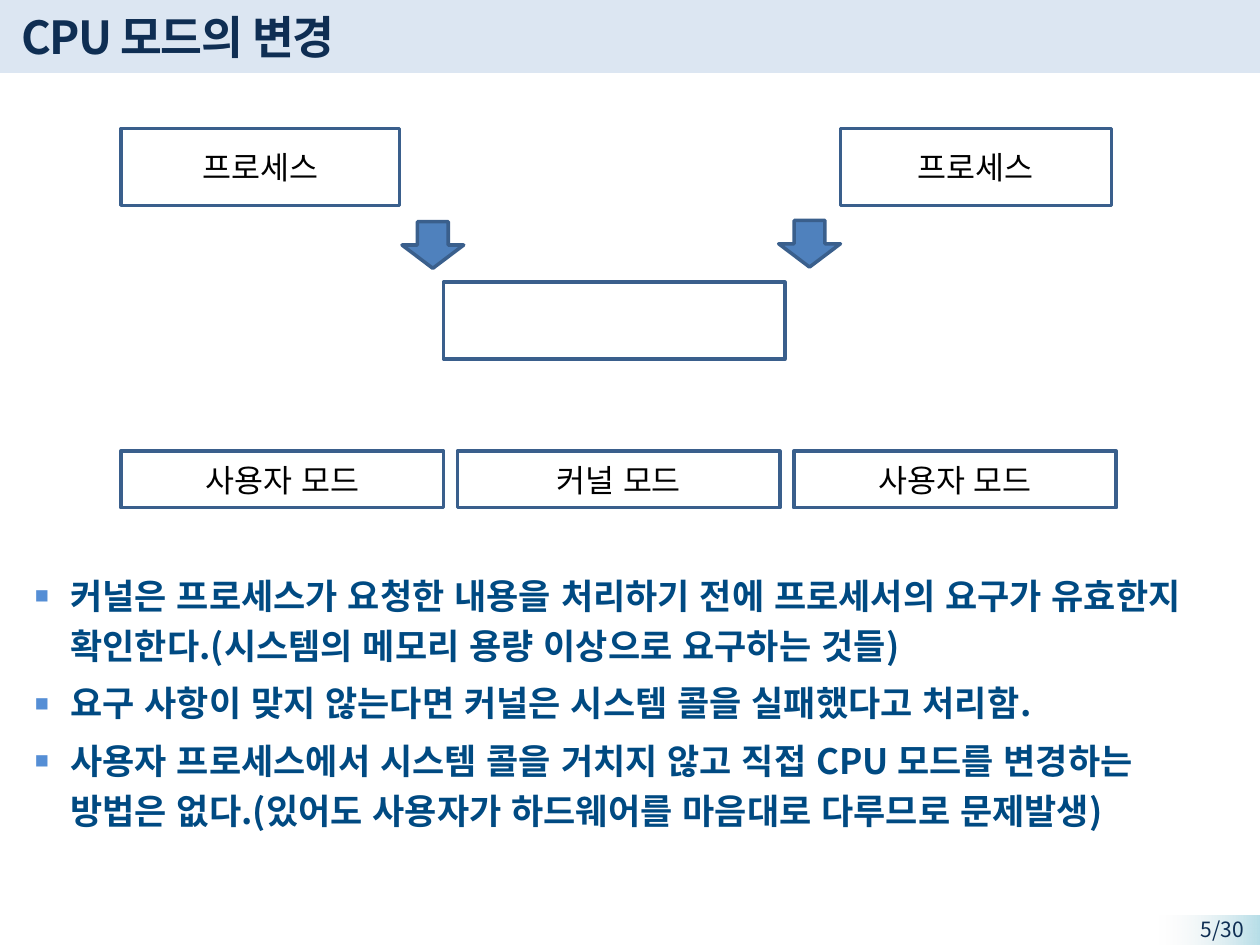
from lxml import etree
from pptx import Presentation
from pptx.dml.color import RGBColor
from pptx.enum.shapes import MSO_SHAPE
from pptx.enum.text import MSO_ANCHOR, PP_ALIGN
from pptx.oxml.ns import qn
from pptx.util import Inches, Pt

RECTANGLE, DOWN_ARROW = MSO_SHAPE.RECTANGLE, MSO_SHAPE.DOWN_ARROW
LEFT, CENTER, RIGHT = PP_ALIGN.LEFT, PP_ALIGN.CENTER, PP_ALIGN.RIGHT
TOP, MIDDLE = MSO_ANCHOR.TOP, MSO_ANCHOR.MIDDLE

FONT = "Noto Sans CJK KR"
BULLET_FONT = "Arial"
COLORS = {
    "band": "DCE6F2", "corner": "B7DEE8", "corner_fade": "F2F2F2",
    "title": "0F2E53", "body": "004A82", "bullet": "558ED5",
    "arrow": "4F81BD", "outline": "3A5F8C", "label": "000000",
}


def color(name):
    return RGBColor.from_string(COLORS[name])


class SlideBuilder:
    """Holds the slide and draws each kind of element in its style."""

    def __init__(self, slide):
        self.slide = slide

    def shape(self, kind, left, top, width, height, fill=None, outline=None):
        shape = self.slide.shapes.add_shape(
            kind, Inches(left), Inches(top), Inches(width), Inches(height))
        shape.shadow.inherit = False
        if fill:
            shape.fill.solid()
            shape.fill.fore_color.rgb = color(fill)
        else:
            shape.fill.background()
        if outline:
            shape.line.color.rgb = color(outline)
            shape.line.width = Pt(2)
        else:
            shape.line.fill.background()
        return shape

    def fading_band(self, left, top, width, height):
        shape = self.shape(RECTANGLE, left, top, width, height)
        shape.fill.gradient()
        shape.fill.gradient_angle = 180
        stops = shape.fill.gradient_stops
        for stop, name, position in zip(stops, ("corner", "corner_fade"), (0, 1)):
            stop.color.rgb = color(name)
            stop.position = position
        # The second stop is fully transparent
        last_color = shape._element.spPr.findall(".//" + qn("a:srgbClr"))[-1]
        etree.SubElement(last_color, qn("a:alpha"), val="0")

    def run(self, paragraph, text, size, color_name, bold=False, spacing=None):
        run = paragraph.add_run()
        run.text = text
        run.font.name = FONT
        run.font.size = Pt(size)
        run.font.bold = bold
        run.font.color.rgb = color(color_name)
        properties = run._r.get_or_add_rPr()
        properties.set("lang", "ko-KR")
        etree.SubElement(properties, qn("a:ea"), typeface=FONT)
        if spacing:
            properties.set("spc", str(int(spacing * 100)))

    def box(self, left, top, width, height, text=None):
        shape = self.shape(RECTANGLE, left, top, width, height, outline="outline")
        if text:
            shape.text_frame.vertical_anchor = MIDDLE
            paragraph = shape.text_frame.paragraphs[0]
            paragraph.alignment = CENTER
            self.run(paragraph, text, 18, "label")

    def arrow(self, left, top):
        self.shape(DOWN_ARROW, left, top, 0.49, 0.37, "arrow", "outline")

    def text_frame(self, left, top, width, height, anchor):
        frame = self.slide.shapes.add_textbox(
            Inches(left), Inches(top), Inches(width), Inches(height)).text_frame
        frame.word_wrap = True
        frame.vertical_anchor = anchor
        return frame

    def line_of_text(self, place, text, size, alignment=LEFT, anchor=MIDDLE, **style):
        paragraph = self.text_frame(*place, anchor).paragraphs[0]
        paragraph.alignment = alignment
        self.run(paragraph, text, size, "title", **style)

    def bullets(self, place, items):
        frame = self.text_frame(*place, TOP)
        for index, item in enumerate(items):
            paragraph = frame.add_paragraph() if index else frame.paragraphs[0]
            paragraph.line_spacing = 1.2
            paragraph.space_before = Pt(4)
            properties = paragraph._p.get_or_add_pPr()
            properties.set("marL", str(Inches(0.39)))
            properties.set("indent", str(Inches(-0.29)))
            bullet_color = etree.SubElement(properties, qn("a:buClr"))
            etree.SubElement(bullet_color, qn("a:srgbClr"), val=COLORS["bullet"])
            etree.SubElement(properties, qn("a:buSzPct"), val="130000")
            etree.SubElement(properties, qn("a:buFont"), typeface=BULLET_FONT)
            etree.SubElement(properties, qn("a:buChar"), char="▪")
            self.run(paragraph, item, 20, "body", bold=True)


def main():
    presentation = Presentation()
    presentation.slide_width = Inches(10)
    presentation.slide_height = Inches(7.5)
    builder = SlideBuilder(presentation.slides.add_slide(presentation.slide_layouts[6]))

    # Title band and page number
    builder.shape(RECTANGLE, 0, -0.02, 10, 0.6, fill="band")
    builder.fading_band(9.2, 7.27, 0.8, 0.24)
    builder.line_of_text((9.05, 7.21, 0.92, 0.32), "5/30", 12, RIGHT)
    builder.line_of_text((0.07, 0.03, 8.51, 0.52), "CPU 모드의 변경", 26,
                         bold=True, spacing=-1)

    # Processes leading into the kernel box
    builder.box(0.96, 1.02, 2.21, 0.61, "프로세스")
    builder.box(6.67, 1.02, 2.15, 0.61, "프로세스")
    builder.box(3.52, 2.24, 2.71, 0.61)
    builder.arrow(3.19, 1.76)
    builder.arrow(6.18, 1.75)

    # Row of CPU modes
    for column, mode in enumerate(("사용자 모드", "커널 모드", "사용자 모드")):
        builder.box(0.96 + column * 2.67, 3.58, 2.56, 0.45, mode)

    # Explanation
    builder.bullets((0.07, 4.44, 9.8, 3), (
        "커널은 프로세스가 요청한 내용을 처리하기 전에 프로세서의 요구가 유효한지 "
        "확인한다.(시스템의 메모리 용량 이상으로 요구하는 것들)",
        "요구 사항이 맞지 않는다면 커널은 시스템 콜을 실패했다고 처리함.",
        "사용자 프로세스에서 시스템 콜을 거치지 않고 직접 CPU 모드를 변경하는 "
        "방법은 없다.(있어도 사용자가 하드웨어를 마음대로 다루므로 문제발생)",
    ))

    presentation.save("out.pptx")


if __name__ == "__main__":
    main()
